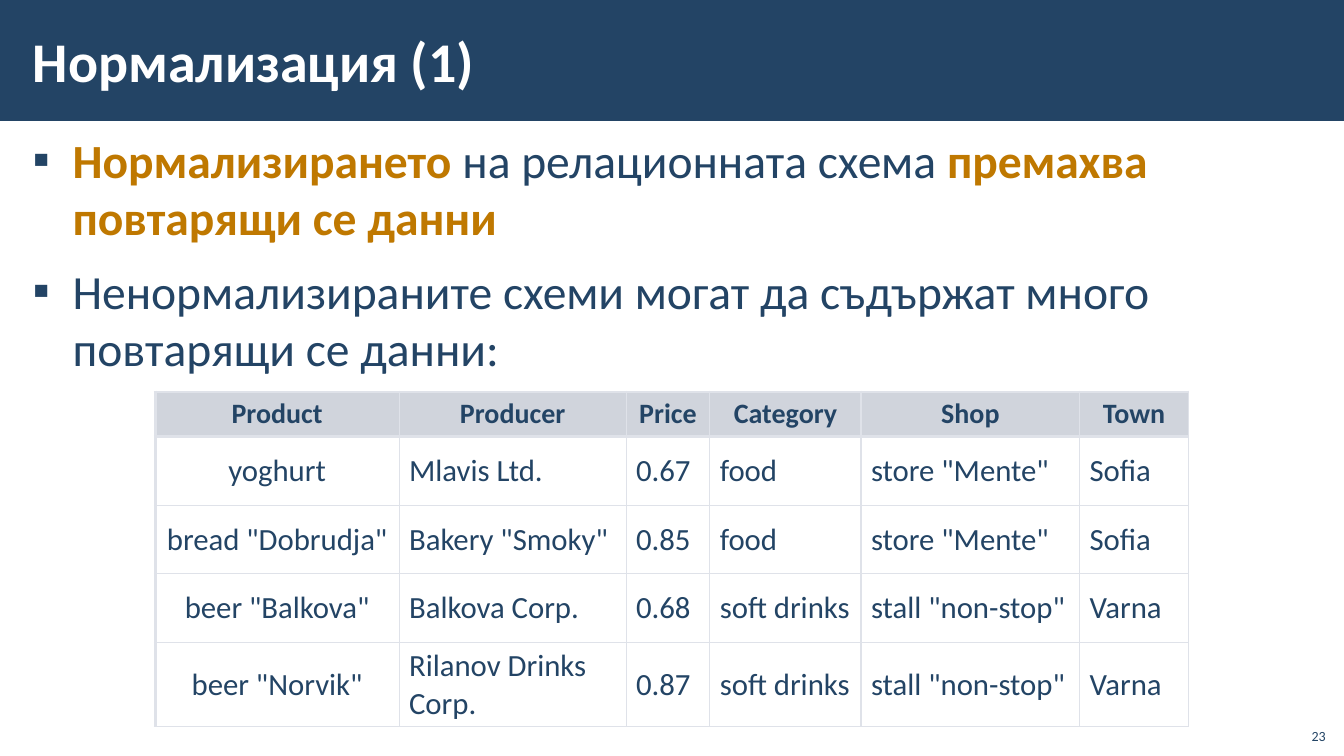
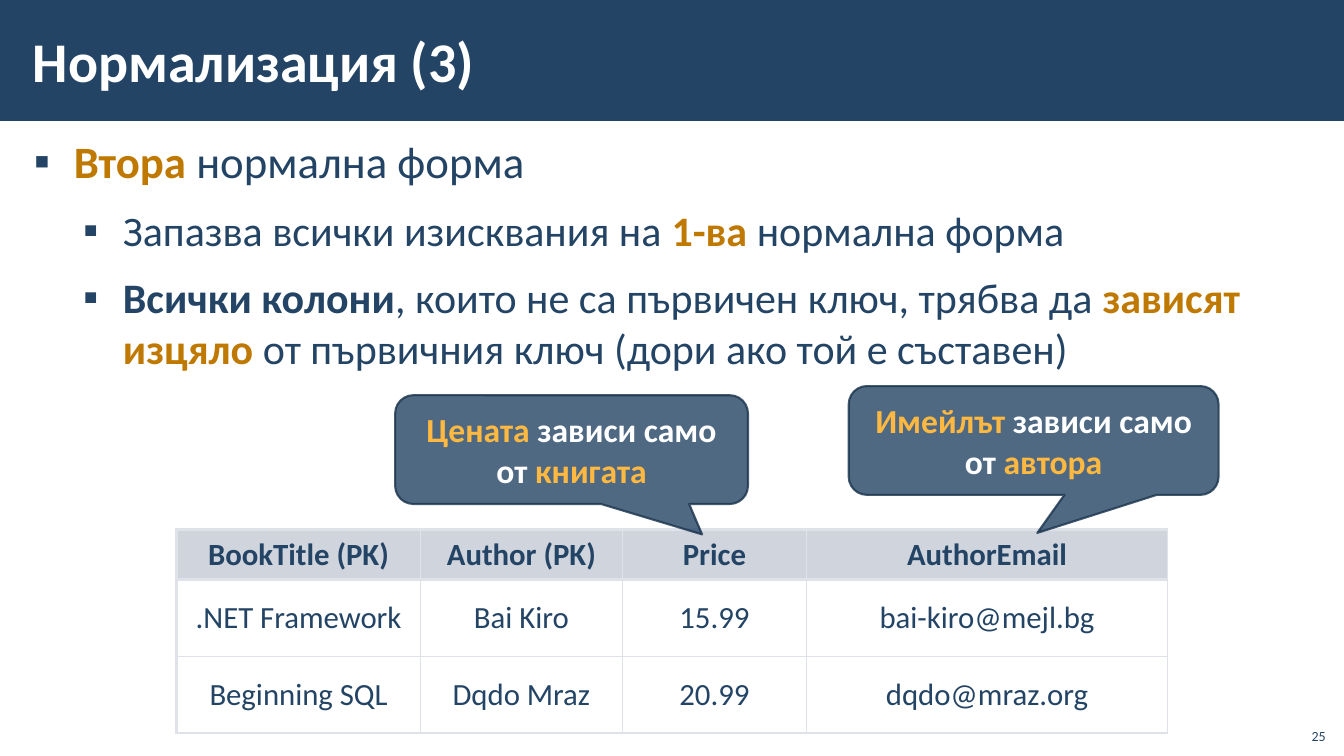
from lxml import etree
from pptx import Presentation
from pptx.dml.color import RGBColor
from pptx.enum import shapes, text
from pptx.oxml import ns
from pptx.util import Cm, Pt

NAVY = RGBColor(0x23, 0x44, 0x65)
DARK_NAVY = RGBColor(0x1A, 0x33, 0x4C)
AMBER = RGBColor(0xBF, 0x78, 0x00)
LIGHT_AMBER = RGBColor(0xFF, 0xB8, 0x40)
HEADER_GREY = RGBColor(0xD0, 0xD4, 0xDC)
BORDER_GREY = RGBColor(0xDF, 0xE2, 0xE9)
WHITE = RGBColor(0xFF, 0xFF, 0xFF)

FONT = "Calibri"
WIDTH, HEIGHT = Cm(33.87), Cm(19.05)
LEFT, CENTER, RIGHT = text.PP_ALIGN.LEFT, text.PP_ALIGN.CENTER, text.PP_ALIGN.RIGHT
TOP, MIDDLE, BOTTOM = text.MSO_ANCHOR.TOP, text.MSO_ANCHOR.MIDDLE, text.MSO_ANCHOR.BOTTOM
CELL_INSETS = (0.25, 0.13)
TEXT_INSETS = (0.3, 0.1)


def add_xml(parent, tag, **attributes):
    """Append a drawing element and return it."""
    return etree.SubElement(parent, ns.qn(tag), attributes)


class Deck:
    """Holds the shared style and the slide being built."""

    def __init__(self):
        self.file = Presentation()
        self.file.slide_width, self.file.slide_height = WIDTH, HEIGHT
        self.page = None

    # Slide frame: band, title and number
    def add_page(self, title, number):
        self.page = self.file.slides.add_slide(self.file.slide_layouts[6])
        band = self.page.shapes.add_shape(
            shapes.MSO_SHAPE.RECTANGLE, 0, 0, WIDTH, Cm(3.05))
        band.shadow.inherit = False
        band.fill.solid()
        band.fill.fore_color.rgb = NAVY
        band.line.fill.background()
        self.add_label(title, (0.53, 0.28, 28.52, 2.46), 40, WHITE, True, MIDDLE)
        self.add_label(str(number), (32.64, 18.08, 1.02, 0.81), 10, NAVY,
                       False, BOTTOM, RIGHT, CELL_INSETS)

    def add_box(self, place, anchor, insets=TEXT_INSETS):
        box = self.page.shapes.add_textbox(*map(Cm, place))
        self.set_frame(box.text_frame, anchor, insets)
        return box.text_frame

    def add_label(self, words, place, size, color, bold, anchor,
                  align=LEFT, insets=TEXT_INSETS):
        frame = self.add_box(place, anchor, insets)
        self.add_spans(frame.paragraphs[0], [(words, color, bold)], size, align)

    @staticmethod
    def set_frame(frame, anchor, insets):
        frame.word_wrap = True
        frame.vertical_anchor = anchor
        frame.margin_left = frame.margin_right = Cm(insets[0])
        frame.margin_top = frame.margin_bottom = Cm(insets[1])

    @staticmethod
    def add_spans(para, spans, size, align=LEFT):
        """Fill a paragraph with (words, color, bold) spans."""
        para.alignment = align
        for words, color, bold in spans:
            span = para.add_run()
            span.text = words
            span.font.name, span.font.size = FONT, Pt(size)
            span.font.bold, span.font.color.rgb = bold, color

    # Bulleted body text; each item is (level, size, spans)
    def add_bullets(self, left, top, items):
        frame = self.add_box((left, top, 32.8, 15.47), TOP)
        for index, (level, size, spans) in enumerate(items):
            para = frame.add_paragraph() if index else frame.paragraphs[0]
            para.level = level
            props = para._p.get_or_add_pPr()
            props.set("marL", str(Cm(1 + 1.24 * level)))
            props.set("indent", str(-Cm(1)))
            add_xml(add_xml(props, "a:buClr"), "a:srgbClr", val=str(NAVY))
            add_xml(props, "a:buFont", typeface=FONT)
            add_xml(props, "a:buChar", char="▪")
            if index:
                para.space_before = Pt(6)
            para.space_after = Pt(6)
            self.add_spans(para, spans, size)

    # Table with a grey header row; the first centered columns are centred
    def add_table(self, left, top, widths, heights, rows, header_size, centered):
        table = self.page.shapes.add_table(
            len(rows), len(widths), Cm(left), Cm(top),
            Cm(sum(widths)), Cm(sum(heights))).table
        table.first_row = table.horz_banding = False
        for column, width in zip(table.columns, widths):
            column.width = Cm(width)
        for row_index, (values, height) in enumerate(zip(rows, heights)):
            table.rows[row_index].height = Cm(height)
            for column_index, value in enumerate(values):
                cell = table.cell(row_index, column_index)
                header = row_index == 0
                self.set_borders(cell, row_index, column_index)
                if header:
                    cell.fill.solid()
                    cell.fill.fore_color.rgb = HEADER_GREY
                else:
                    cell.fill.background()
                cell.vertical_anchor = MIDDLE
                cell.margin_left = cell.margin_right = Cm(CELL_INSETS[0])
                cell.margin_top = cell.margin_bottom = Cm(CELL_INSETS[1])
                align = CENTER if header or column_index < centered else LEFT
                self.add_spans(cell.text_frame.paragraphs[0],
                               [(value, NAVY, header)],
                               header_size if header else 22, align)

    @staticmethod
    def set_borders(cell, row_index, column_index):
        thick = {"L": column_index == 0, "R": False,
                 "T": row_index <= 1, "B": row_index == 0}
        props = cell._tc.get_or_add_tcPr()
        for side, is_thick in thick.items():
            width = Pt(2.25 if is_thick else 1)
            line = add_xml(props, f"a:ln{side}", w=str(width))
            fill = add_xml(line, "a:solidFill")
            add_xml(fill, "a:srgbClr", val=str(BORDER_GREY))

    # Translucent speech bubble
    def add_callout(self, place, tip, spans):
        bubble = self.page.shapes.add_shape(
            shapes.MSO_SHAPE.ROUNDED_RECTANGULAR_CALLOUT, *map(Cm, place))
        bubble.adjustments[0], bubble.adjustments[1] = tip
        bubble.shadow.inherit = False
        bubble.fill.solid()
        bubble.fill.fore_color.rgb = NAVY
        bubble.line.color.rgb = DARK_NAVY
        bubble.line.width = Pt(1.5)
        for color in bubble._element.spPr.iter(ns.qn("a:srgbClr")):
            add_xml(color, "a:alpha", val="80000")
        self.set_frame(bubble.text_frame, MIDDLE, CELL_INSETS)
        self.add_spans(bubble.text_frame.paragraphs[0], spans, 24, CENTER)


def main():
    deck = Deck()

    # Repeated data in a schema that is not normalized
    deck.add_page("Нормализация (1)", 23)
    deck.add_bullets(0.53, 3.2, [
        (0, 34, [("Нормализирането", AMBER, True),
                 (" на релационната схема ", NAVY, False),
                 ("премахва повтарящи се данни", AMBER, True)]),
        (0, 34, [("Ненормализираните схеми могат да съдържат много "
                  "повтарящи се данни:", NAVY, False)]),
    ])
    deck.add_table(
        3.91, 9.88, [6.15, 5.72, 2.11, 3.81, 5.51, 2.74],
        [1.12, 1.73, 1.73, 1.73, 2.06], [
            ("Product", "Producer", "Price", "Category", "Shop", "Town"),
            ("yoghurt", "Mlavis Ltd.", "0.67", "food", 'store "Mente"', "Sofia"),
            ('bread "Dobrudja"', 'Bakery "Smoky"', "0.85", "food",
             'store "Mente"', "Sofia"),
            ('beer "Balkova"', "Balkova Corp.", "0.68", "soft drinks",
             'stall "non-stop"', "Varna"),
            ('beer "Norvik"', "Rilanov Drinks Corp.", "0.87", "soft drinks",
             'stall "non-stop"', "Varna"),
        ], header_size=20, centered=1)

    # Second normal form
    deck.add_page("Нормализация (3)", 25)
    deck.add_bullets(0.56, 3.28, [
        (0, 32, [("Втора ", AMBER, True), ("нормална форма", NAVY, False)]),
        (1, 30, [("Запазва всички изисквания на ", NAVY, False),
                 ("1-ва ", AMBER, True), ("нормална форма", NAVY, False)]),
        (1, 30, [("Всички колони", NAVY, True),
                 (", които не са първичен ключ, трябва да ", NAVY, False),
                 ("зависят изцяло ", AMBER, True),
                 ("от първичния ключ (дори ако той е съставен)", NAVY, False)]),
    ])
    deck.add_table(
        4.45, 13.34, [6.15, 5.08, 4.65, 9.09], [1.27, 1.93, 1.93], [
            ("BookTitle (PK)", "Author (PK)", "Price", "AuthorEmail"),
            (".NET Framework", "Bai Kiro", "15.99", "bai-kiro@mejl.bg"),
            ("Beginning SQL", "Dqdo Mraz", "20.99", "dqdo@mraz.org"),
        ], header_size=22, centered=4)
    deck.add_callout((9.96, 9.96, 8.89, 2.74), (0.37, 0.78), [
        ("Цената", LIGHT_AMBER, True), (" зависи само от ", WHITE, True),
        ("книгата", LIGHT_AMBER, True)])
    deck.add_callout((21.39, 9.73, 9.32, 2.74), (0.01, 0.85), [
        ("Имейлът ", LIGHT_AMBER, True), ("зависи само от ", WHITE, True),
        ("автора", LIGHT_AMBER, True)])

    deck.file.save("out.pptx")


if __name__ == "__main__":
    main()
